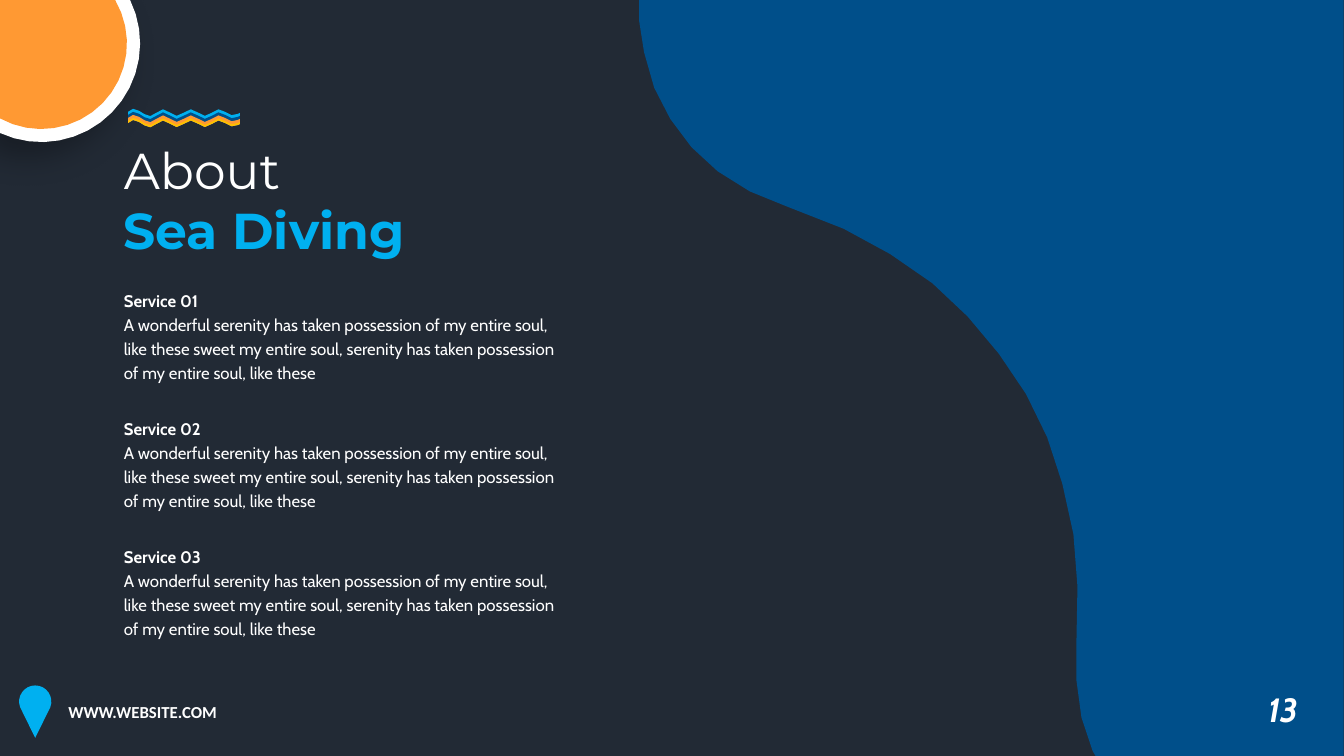
import math
from dataclasses import dataclass

from lxml import etree
from pptx import Presentation
from pptx.dml.color import RGBColor
from pptx.enum import text
from pptx.oxml import ns
from pptx.util import Cm, Pt

# Content
TITLE = [("About", "white", False), ("Sea Diving", "sky", True)]
SERVICES = ["Service 01", "Service 02", "Service 03"]
SERVICE_TEXT = ("A wonderful serenity has taken possession of my entire soul, "
                "like these sweet my entire soul, serenity has taken "
                "possession of my entire soul, like these")
WEBSITE = "WWW.WEBSITE.COM"
PAGE_NUMBER = "13"

# Outlines, in inches
SEA = [(13.33, 0), (6.34, 0), (6.34, 0.2), (6.39, 0.52), (6.49, 0.87),
       (6.65, 1.18), (6.86, 1.46), (7.12, 1.7), (7.44, 1.9), (7.81, 2.05),
       (8.37, 2.27), (8.83, 2.52), (9.25, 2.81), (9.6, 3.14), (9.91, 3.51),
       (10.18, 3.91), (10.39, 4.34), (10.54, 4.8), (10.65, 5.3),
       (10.69, 5.82), (10.68, 6.37), (10.68, 6.75), (10.73, 7.12),
       (10.84, 7.45), (10.87, 7.5), (13.33, 7.5)]
CREST = [(1.32, 1.08),
         (1.4, 1.08), (1.47, 1.21), (1.55, 1.12),
         (1.64, 1.0), (1.73, 1.23), (1.82, 1.12),
         (1.92, 1.0), (2.01, 1.23), (2.1, 1.12),
         (2.19, 1.01), (2.28, 1.2), (2.36, 1.13)]
WAVE_COLOURS = ["sky", "sea", "orange", "gold"]
WAVE_STEP, WAVE_DEPTH = 0.03, 0.11
SUN_CENTRE = (0.41, 0.43)
SUN_RINGS = [(0.98, "white"), (0.85, "orange")]
PIN_CENTRE, PIN_RADIUS, PIN_TIP = (0.35, 6.96), 0.16, (0.35, 7.32)
SERVICE_TOP, SERVICE_STEP = 2.79, 1.272


@dataclass
class Theme:
    night: str = "222A35"
    sea: str = "004F8A"
    sky: str = "00B0F0"
    white: str = "FFFFFF"
    orange: str = "FF9933"
    gold: str = "FFC000"
    heading: str = "Montserrat"
    body: str = "Cabin"
    footer: str = "Calibri"
    title_size: int = 36
    number_size: int = 24
    text_size: int = 12


theme = Theme()


def inch(value):
    return Cm(value * 2.54)


def colour(name):
    return RGBColor.from_string(getattr(theme, name))


def arc(centre, radius, start, end, steps=16):
    angles = [start + (end - start) * i / steps for i in range(steps + 1)]
    return [(centre[0] + radius * math.cos(a),
             centre[1] + radius * math.sin(a)) for a in angles]


def curve(knots, steps=4):
    points = [knots[0]]
    for first in range(0, len(knots) - 1, 3):
        a, b, c, d = knots[first:first + 4]
        for i in range(1, steps + 1):
            t = i / steps
            s = 1 - t
            points.append(tuple(
                s ** 3 * a[k] + 3 * s * s * t * b[k]
                + 3 * s * t * t * c[k] + t ** 3 * d[k] for k in (0, 1)))
    return points


def add_outline(shapes, points, fill):
    spots = [(inch(x), inch(y)) for x, y in points]
    builder = shapes.build_freeform(*spots[0], scale=1.0)
    builder.add_line_segments(spots[1:], close=True)
    shape = builder.convert_to_shape()
    shape.fill.solid()
    shape.fill.fore_color.rgb = colour(fill)
    shape.line.fill.background()
    shape.shadow.inherit = False
    return shape


def add_soft_shadow(shape):
    effects = shape._element.spPr.find(ns.qn("a:effectLst"))
    shadow = etree.SubElement(effects, ns.qn("a:outerShdw"), blurRad=str(Pt(23)),
                              dist=str(Pt(15)), dir=str(135 * 60000),
                              algn="tr", rotWithShape="0")
    shade = etree.SubElement(shadow, ns.qn("a:srgbClr"), val="000000")
    etree.SubElement(shade, ns.qn("a:alpha"), val="29000")


def add_text(page, place, lines, font, size, wrap=True, italic=False,
             spacing=None):
    box = page.shapes.add_textbox(*map(inch, place))
    frame = box.text_frame
    frame.word_wrap = wrap
    frame.auto_size = text.MSO_AUTO_SIZE.SHAPE_TO_FIT_TEXT
    for index, (words, tint, bold) in enumerate(lines):
        para = frame.add_paragraph() if index else frame.paragraphs[0]
        if spacing:
            para.line_spacing = spacing
        span = para.add_run()
        span.text = words
        span.font.name = font
        span.font.size = Pt(size)
        span.font.bold = bold
        span.font.italic = italic
        span.font.color.rgb = colour(tint)


def main():
    deck = Presentation()
    deck.slide_width, deck.slide_height = Cm(33.87), Cm(19.05)
    page = deck.slides.add_slide(deck.slide_layouts[6])
    page.background.fill.solid()
    page.background.fill.fore_color.rgb = colour("night")

    # Sea and page number
    add_outline(page.shapes, SEA, "sea")
    add_text(page, (12.48, 6.79, 0.59, 0.5), [(PAGE_NUMBER, "white", True)],
             theme.body, theme.number_size, wrap=False, italic=True)

    # Footer pin and address
    head = arc(PIN_CENTRE, PIN_RADIUS, math.radians(-200), math.radians(20))
    add_outline(page.shapes, head + [PIN_TIP], "sky")
    add_text(page, (0.58, 6.91, 2.53, 0.3), [(WEBSITE, "white", True)],
             theme.footer, theme.text_size)

    # Sun, cut off at the top and left page edges
    sun = page.shapes.add_group_shape()
    for radius, fill in SUN_RINGS:
        start = math.asin(-SUN_CENTRE[1] / radius)
        end = math.acos(-SUN_CENTRE[0] / radius)
        rim = arc(SUN_CENTRE, radius, start, end)
        ring = add_outline(sun.shapes, rim + [(0, 0)], fill)
        if fill == "white":
            add_soft_shadow(ring)

    # Title
    add_text(page, (1.13, 1.33, 3.77, 1.31), TITLE, theme.heading,
             theme.title_size)

    # Waves: each band starts lower, all share one bottom edge
    crest = [(1.27, 1.11)] + curve(CREST) + [(2.38, 1.12)]
    bottom = [(x, y + WAVE_DEPTH) for x, y in reversed(crest)]
    waves = page.shapes.add_group_shape()
    for index, fill in enumerate(WAVE_COLOURS):
        top = [(x, y + index * WAVE_STEP) for x, y in crest]
        add_outline(waves.shapes, top + bottom, fill)

    # Services
    for index, name in enumerate(SERVICES):
        top = SERVICE_TOP + index * SERVICE_STEP
        add_text(page, (1.13, top, 4.61, 1.05),
                 [(name, "white", True), (SERVICE_TEXT, "white", False)],
                 theme.body, theme.text_size, spacing=1.2)

    deck.save("out.pptx")


if __name__ == "__main__":
    main()
